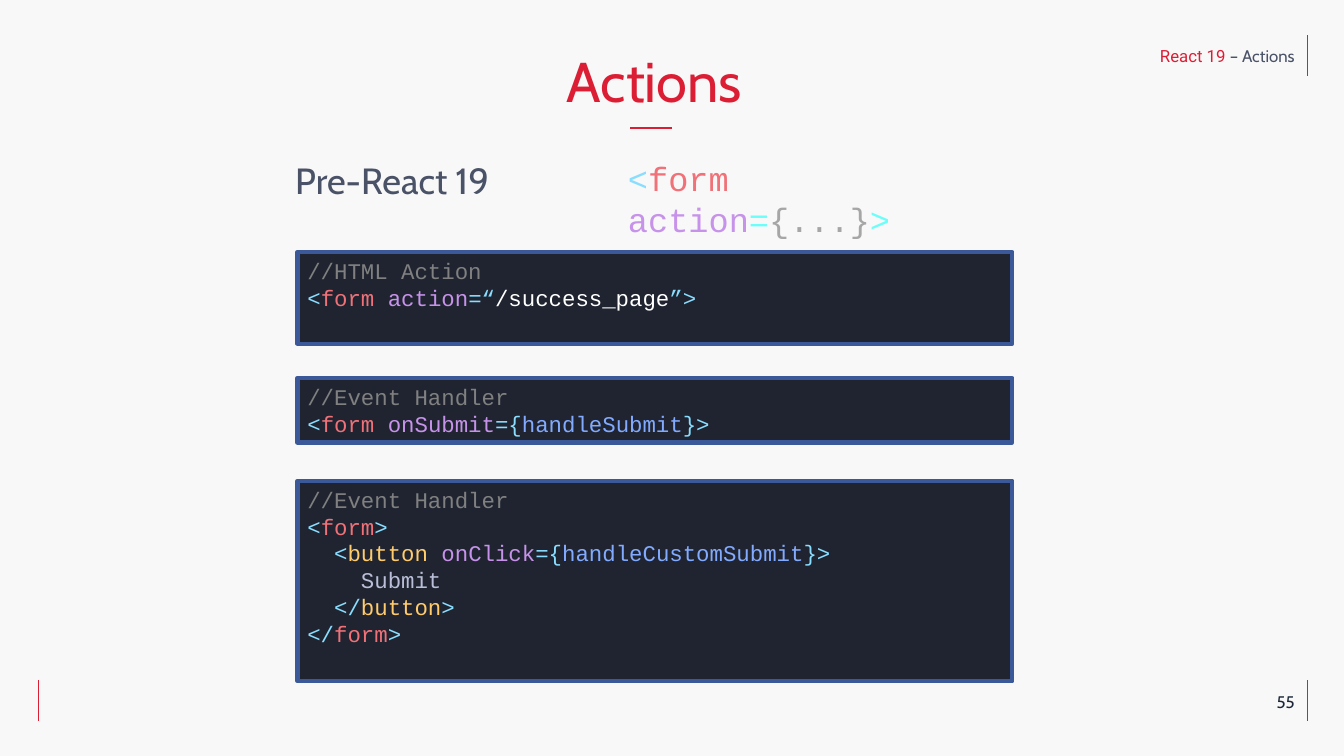
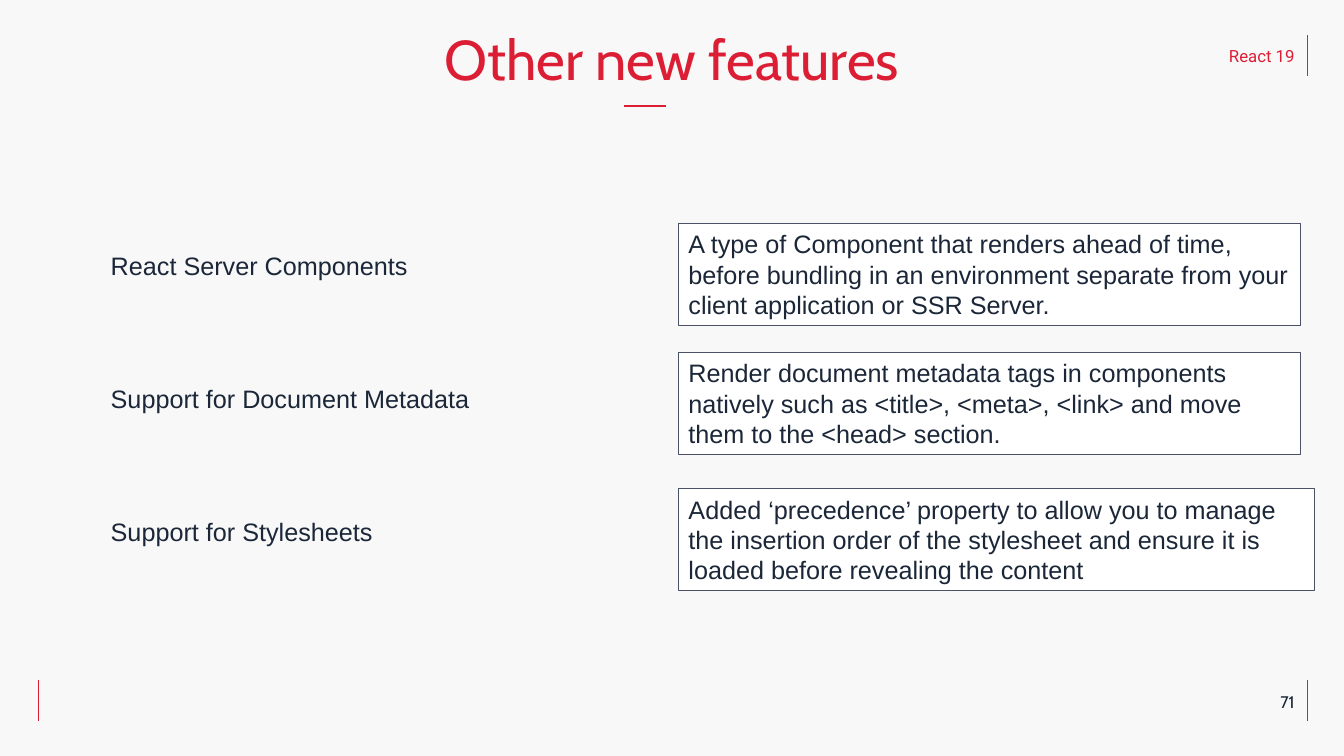
from lxml.etree import SubElement
from pptx import Presentation
from pptx.dml.color import RGBColor
from pptx.enum.shapes import MSO_CONNECTOR, MSO_SHAPE
from pptx.enum.text import MSO_ANCHOR, MSO_AUTO_SIZE, PP_ALIGN
from pptx.oxml.ns import qn
from pptx.util import Inches, Pt

RED, SLATE, INK, PAPER, WHITE = "DC1E35", "4A5267", "1B2738", "F8F8F8", "FFFFFF"
CODE_FILL, CODE_BORDER = "1F2430", "3B5998"
COMMENT, BRACKET, TAG, ATTRIBUTE = "808080", "89DDFF", "F07178", "C792EA"
HANDLER, ELEMENT, PLAIN = "82AAFF", "FFCB6B", "BABED8"
CYAN, GRAY = "6CFFFA", "A6A6A6"
HEADING_FONT, HEADER_FONT, BODY_FONT, CODE_FONT = "Cabin", "Roboto", "Arial", "Courier New"


def color(value):
    return RGBColor.from_string(value)


class Deck:
    """Holds the shared style and the slide being built."""

    def __init__(self):
        self.presentation = Presentation()
        self.presentation.slide_width = Inches(13.33)
        self.presentation.slide_height = Inches(7.5)
        background = self.presentation.slide_master.background.fill
        background.solid()
        background.fore_color.rgb = color(PAPER)
        self.slide = None

    def set_text(self, shape, lines, size, font, align=PP_ALIGN.LEFT):
        """Fill a shape with lines, each a list of (text, colour[, font]) runs."""
        frame = shape.text_frame
        settings = {"word_wrap": True, "auto_size": MSO_AUTO_SIZE.NONE,
                    "vertical_anchor": MSO_ANCHOR.TOP}
        for name, value in settings.items():
            setattr(frame, name, value)
        for index, runs in enumerate(lines):
            paragraph = frame.add_paragraph() if index else frame.paragraphs[0]
            paragraph.alignment = align
            for text, run_color, *own_font in runs:
                run = paragraph.add_run()
                run.text = text
                run.font.size = Pt(size)
                run.font.name = own_font[0] if own_font else font
                run.font.color.rgb = color(run_color)

    def text(self, left, top, width, height, lines, size, font, align=PP_ALIGN.LEFT):
        box = self.slide.shapes.add_textbox(
            Inches(left), Inches(top), Inches(width), Inches(height))
        self.set_text(box, lines, size, font, align)

    def panel(self, left, top, width, height, fill, border, weight, lines, size, font):
        shape = self.slide.shapes.add_shape(
            MSO_SHAPE.RECTANGLE, Inches(left), Inches(top), Inches(width), Inches(height))
        shape.shadow.inherit = False
        shape.fill.solid()
        shape.fill.fore_color.rgb = color(fill)
        shape.line.color.rgb = color(border)
        shape.line.width = Pt(weight)
        self.set_text(shape, lines, size, font)

    def code(self, top, height, lines):
        self.panel(2.95, top, 7.09, height, CODE_FILL, CODE_BORDER, 3, lines, 16, CODE_FONT)

    def line(self, left, top, right, bottom, weight=1):
        connector = self.slide.shapes.add_connector(
            MSO_CONNECTOR.STRAIGHT, Inches(left), Inches(top), Inches(right), Inches(bottom))
        connector.line.color.rgb = color(RED)
        connector.line.width = Pt(weight)
        SubElement(connector._element.spPr, qn("a:effectLst"))

    def title(self, text, center, top, underline_left):
        title = self.slide.shapes.title
        width = 6
        placement = {"left": center - width / 2, "top": top, "width": width, "height": 0.77}
        for name, value in placement.items():
            setattr(title, name, Inches(value))
        self.set_text(title, [[(text, RED)]], 40, HEADING_FONT, PP_ALIGN.CENTER)
        underline = top + 0.86
        self.line(underline_left, underline, underline_left + 0.42, underline, 1.75)

    def new_slide(self, number, header):
        """Start a title-only slide with its header, page number and margin lines."""
        self.slide = self.presentation.slides.add_slide(self.presentation.slide_layouts[5])
        for left, top in ((12.97, 0.35), (12.97, 6.75), (0.38, 6.75)):
            self.line(left, top, left, top + 0.4)
        for top, runs, font in ((0.4, header, HEADER_FONT),
                                (6.81, [(number, INK)], HEADING_FONT)):
            self.text(9.94, top, 3, 0.3, [runs], 12, font, PP_ALIGN.RIGHT)


def build_actions(deck):
    deck.new_slide("55", [("React 19 ", RED), ("– Actions", SLATE, HEADING_FONT)])
    deck.title("Actions", 6.49, 0.41, 6.25)
    deck.text(2.83, 1.52, 3, 0.54, [[("Pre-React 19", SLATE)]], 26, HEADING_FONT)

    form_start = [("<", BRACKET), ("form ", TAG)]
    deck.text(6.13, 1.52, 3.73, 0.9, [form_start + [
        ("action", ATTRIBUTE), ("=", CYAN), ("{...}", GRAY), (">", CYAN)]], 24, CODE_FONT)

    deck.code(2.5, 0.91, [
        [("//HTML Action", COMMENT)],
        form_start + [("action", ATTRIBUTE), ("=“", BRACKET),
                      ("/success_page", WHITE), ("”>", BRACKET)],
    ])
    event_comment = [("//Event Handler", COMMENT)]
    deck.code(3.75, 0.64, [
        event_comment,
        form_start + [("onSubmit", ATTRIBUTE), ("={", BRACKET),
                      ("handleSubmit", HANDLER), ("}>", BRACKET)],
    ])
    deck.code(4.77, 1.99, [
        event_comment,
        [("<", BRACKET), ("form", TAG), (">", BRACKET)],
        [("  <", BRACKET), ("button ", ELEMENT), ("onClick", ATTRIBUTE),
         ("={", BRACKET), ("handleCustomSubmit", HANDLER), ("}>", BRACKET)],
        [("    Submit", PLAIN)],
        [("  </", BRACKET), ("button", ELEMENT), (">", BRACKET)],
        [("</", BRACKET), ("form", TAG), (">", BRACKET)],
    ])


def build_features(deck):
    deck.new_slide("71", [("React 19", RED)])
    deck.title("Other new features", 6.66, 0.19, 6.19)
    features = [
        ("React Server Components", 2.22, 6.17,
         "A type of Component that renders ahead of time, before bundling in an "
         "environment separate from your client application or SSR Server."),
        ("Support for Document Metadata", 3.5, 6.17,
         "Render document metadata tags in components natively such as <title>, "
         "<meta>, <link> and move them to the <head> section."),
        ("Support for Stylesheets", 4.85, 6.31,
         "Added ‘precedence’ property to allow you to manage the insertion order of "
         "the stylesheet and ensure it is loaded before revealing the content"),
    ]
    for row, (name, top, width, description) in enumerate(features):
        deck.text(1, 2.43 + 1.32 * row, 5, 0.4, [[(name, INK)]], 18, BODY_FONT)
        deck.panel(6.73, top, width, 1.01, WHITE, SLATE, 0.75,
                   [[(description, INK)]], 18, BODY_FONT)


def main():
    deck = Deck()
    build_actions(deck)
    build_features(deck)
    deck.presentation.save("out.pptx")


if __name__ == "__main__":
    main()
